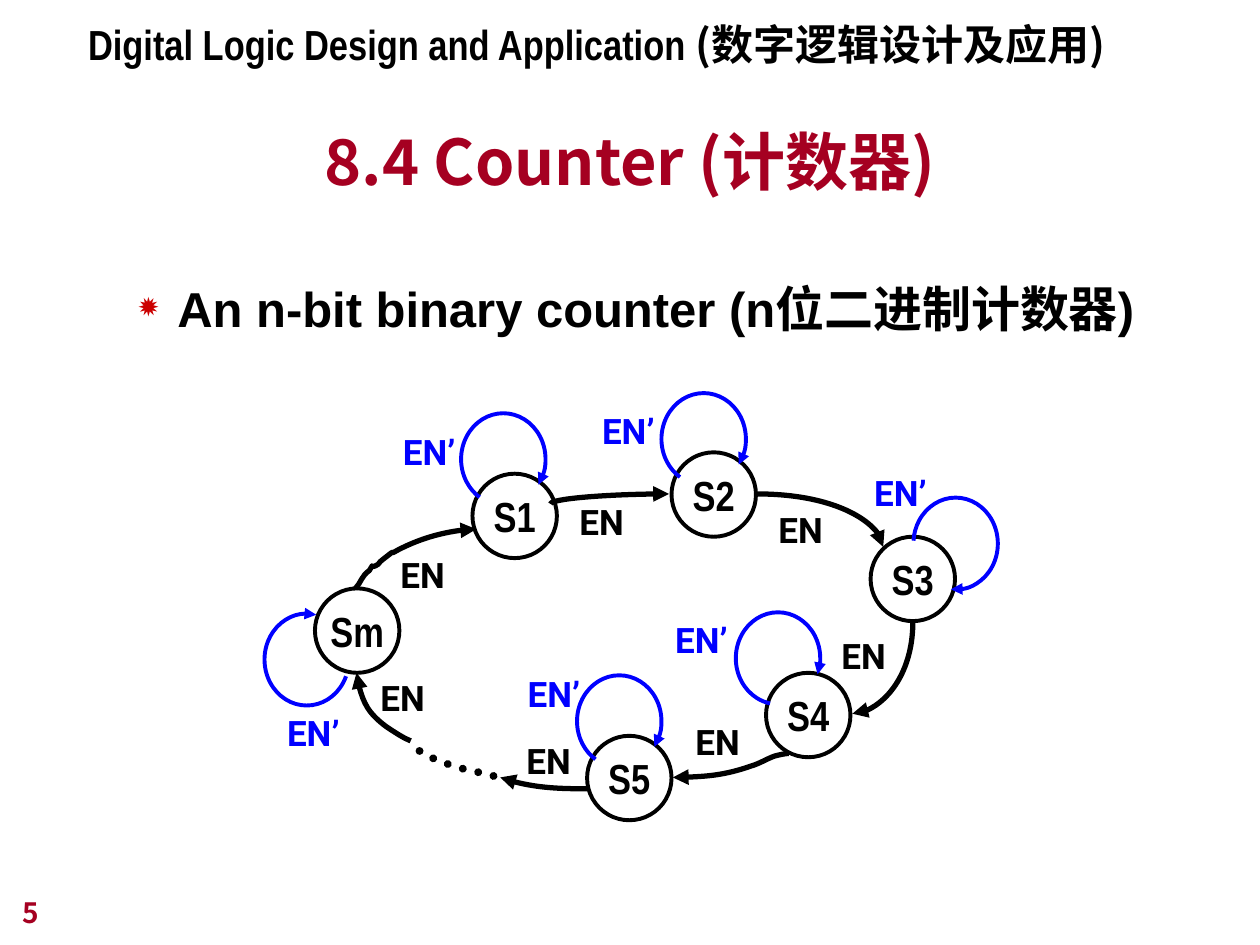
from lxml import etree
from pptx import Presentation
from pptx.dml.color import RGBColor
from pptx.enum.dml import MSO_LINE
from pptx.enum.shapes import MSO_CONNECTOR, MSO_SHAPE
from pptx.enum.text import MSO_ANCHOR, MSO_AUTO_SIZE, PP_ALIGN
from pptx.oxml.ns import qn
from pptx.util import Inches, Pt

BLACK = RGBColor(0x00, 0x00, 0x00)
BLUE = RGBColor(0x00, 0x00, 0xFF)
CRIMSON = RGBColor(0xA5, 0x00, 0x21)
CJK, NARROW, SANS, LABEL = "Noto Sans CJK JP", "Arial Narrow", "Arial", "Roboto"
LEFT, CENTER = PP_ALIGN.LEFT, PP_ALIGN.CENTER
TOP, MIDDLE, BOTTOM = MSO_ANCHOR.TOP, MSO_ANCHOR.MIDDLE, MSO_ANCHOR.BOTTOM

HEADER = [("Digital Logic Design and Application ", NARROW), ("(数字逻辑设计及应用)", CJK)]
TITLE = "8.4 Counter (计数器)"
BULLET = "An n-bit binary counter (n位二进制计数器)"
PAGE = "5"

STATE_SIZE = 0.67
STATES = [  # name, left, top
    ("S1", 3.75, 3.76), ("S2", 5.33, 3.59), ("S3", 6.91, 4.26),
    ("Sm", 2.5, 4.67), ("S5", 4.66, 5.84), ("S4", 6.08, 5.34),
]
LOOP_WIDTH, LOOP_HEIGHT = 0.67, 0.73
HOLD_LOOPS = [  # loop left, top, start and end angle, label left, top
    (3.66, 3.28, 122, 36, 3.1, 3.37),
    (5.25, 3.12, 122, 36, 4.68, 3.2),
    (5.84, 4.86, 100, 22, 5.26, 4.86),
    (4.58, 5.36, 122, 36, 4.09, 5.29),
    (2.1, 4.87, 23, 282, 2.18, 5.6),
    (7.25, 3.95, 184, 96, 6.84, 3.69),
]
COUNT_LABELS = [(3.08, 4.34), (4.5, 3.92), (6.08, 3.99), (4.08, 5.82),
                (5.42, 5.67), (6.58, 4.99), (2.92, 5.32)]
COUNT_CONNECTORS = [  # begin, end before rotation, quarter turns
    ((4.88, 4.43), (4.8, 3.49), 1),
    ((6.01, 3.92), (7.01, 4.34), 0),
    ((6.64, 5.06), (7.37, 5.54), 1),
]
# Bézier outlines: a start point, then three points for each segment
COUNT_CURVES = [
    [(3.26, 5.88), (3.21, 5.86), (3.16, 5.83), (3.07, 5.77),
     (2.92, 5.66), (2.85, 5.51), (2.83, 5.34)],
    [(4.66, 6.26), (4.44, 6.26), (4.19, 6.25), (3.97, 6.17)],
    [(2.82, 4.67), (2.87, 4.62), (2.87, 4.57), (2.93, 4.53),
     (2.99, 4.44), (2.92, 4.53), (3, 4.48),
     (3.02, 4.46), (3.02, 4.45), (3.04, 4.44),
     (3.18, 4.33), (3.07, 4.42), (3.15, 4.37),
     (3.32, 4.28), (3.59, 4.2), (3.78, 4.2)],
    [(6.26, 5.98), (6.23, 5.98), (6.19, 5.99), (6.15, 6),
     (6.09, 6.02), (6.03, 6.06), (5.96, 6.08),
     (5.76, 6.15), (5.54, 6.17), (5.34, 6.17)],
]
OMITTED_STATES = [(3.33, 5.96), (3.36, 6), (3.43, 6.02), (3.49, 6.03),
                  (3.58, 6.09), (3.68, 6.1), (3.8, 6.13),
                  (3.86, 6.14), (3.93, 6.17), (4, 6.17)]


def write(frame, runs, size, color, align=LEFT, anchor=TOP, wrap=True):
    """Fill a text frame with one bold paragraph of (text, font name) runs."""
    frame.word_wrap = wrap
    frame.vertical_anchor = anchor
    paragraph = frame.paragraphs[0]
    paragraph.alignment = align
    paragraph.font.size = Pt(size)
    paragraph.font.bold = True
    paragraph.font.color.rgb = color
    for text, font_name in runs:
        run = paragraph.add_run()
        run.text = text
        run.font.name = font_name
    return paragraph


def add_text(slide, box, *args, **options):
    frame = slide.shapes.add_textbox(*map(Inches, box)).text_frame
    return write(frame, *args, **options)


def add_label(slide, left, top, text, width, color):
    frame = slide.shapes.add_textbox(*map(Inches, (left, top, width, 0.44))).text_frame
    write(frame, [(text, LABEL)], 20, color, wrap=False)
    frame.auto_size = MSO_AUTO_SIZE.SHAPE_TO_FIT_TEXT


def style_line(shape, color, width, arrow=True):
    shape.line.color.rgb = color
    shape.line.width = Pt(width)
    if arrow:
        line = shape.line._get_or_add_ln()
        etree.SubElement(line, qn("a:tailEnd"), type="triangle")


def add_curve(slide, points):
    """Draw an open Bézier outline, three points to a segment."""
    start, *rest = [(Inches(x), Inches(y)) for x, y in points]
    builder = slide.shapes.build_freeform(*start, scale=1.0)
    builder.add_line_segments(rest, close=False)
    shape = builder.convert_to_shape()
    shape.fill.background()
    shape.shadow.inherit = False
    segments = list(shape._element.iter(qn("a:lnTo")))
    for index in range(0, len(segments), 3):
        bezier = etree.Element(qn("a:cubicBezTo"))
        segments[index].addprevious(bezier)
        for segment in segments[index:index + 3]:
            bezier.append(segment[0])
            segment.getparent().remove(segment)
    return shape


def add_count_connector(slide, begin, end, turns):
    connector = slide.shapes.add_connector(MSO_CONNECTOR.CURVE, *map(Inches, begin + end))
    properties = connector._element.spPr
    properties.find(qn("a:prstGeom")).set("prst", "curvedConnector2")
    properties.find(qn("a:xfrm")).set("rot", str(turns * 90 * 60000))
    style_line(connector, BLACK, 3)
    etree.SubElement(properties, qn("a:effectLst"))


def add_preset(slide, preset, left, top, width, height):
    shape = slide.shapes.add_shape(preset, *map(Inches, (left, top, width, height)))
    shape.fill.background()
    shape.shadow.inherit = False
    return shape


def add_bullet_line(slide):
    paragraph = add_text(slide, (0.5, 2.07, 9, 5.09), [(BULLET, SANS)], 28, BLACK)
    paragraph.line_spacing = 1.2
    properties = paragraph._p.get_or_add_pPr()
    properties.set("marL", str(Inches(0.81)))
    properties.set("indent", str(Inches(-0.31)))
    bullet_color = etree.Element(qn("a:buClr"))
    etree.SubElement(bullet_color, qn("a:srgbClr"), val="CC0000")
    bullet_parts = [bullet_color,
                    etree.Element(qn("a:buSzPct"), val="70000"),
                    etree.Element(qn("a:buChar"), char="✹")]
    for part in bullet_parts:
        properties.find(qn("a:defRPr")).addprevious(part)


def main():
    presentation = Presentation()
    presentation.slide_width, presentation.slide_height = Inches(10), Inches(7.5)
    slide = presentation.slides.add_slide(presentation.slide_layouts[6])

    add_text(slide, (0.6, 0.1, 8.41, 0.5), HEADER, 24, BLACK)
    add_text(slide, (0.75, 0.87, 8.5, 0.75), [(TITLE, CJK)], 36, CRIMSON, CENTER, BOTTOM)
    add_bullet_line(slide)
    add_text(slide, (0.08, 6.92, 2.08, 0.5), [(PAGE, CJK)], 16, CRIMSON, anchor=BOTTOM)

    for name, left, top in STATES:
        state = add_preset(slide, MSO_SHAPE.OVAL, left, top, STATE_SIZE, STATE_SIZE)
        style_line(state, BLACK, 2.25, arrow=False)
        write(state.text_frame, [(name, NARROW)], 24, BLACK, CENTER, MIDDLE, wrap=False)

    for begin, end, turns in COUNT_CONNECTORS:
        add_count_connector(slide, begin, end, turns)
    for points in COUNT_CURVES:
        style_line(add_curve(slide, points), BLACK, 3)
    dots = add_curve(slide, OMITTED_STATES)
    style_line(dots, BLACK, 4.5, arrow=False)
    dots.line.dash_style = MSO_LINE.ROUND_DOT
    dots.line._get_or_add_ln().set("cap", "rnd")
    for left, top in COUNT_LABELS:
        add_label(slide, left, top, "EN", 0.58, BLACK)

    for left, top, start, end, label_left, label_top in HOLD_LOOPS:
        loop = add_preset(slide, MSO_SHAPE.ARC, left, top, LOOP_WIDTH, LOOP_HEIGHT)
        # Arc adjustments count 100000 units, angles 60000 units to a degree
        loop.adjustments[0], loop.adjustments[1] = start * 0.6, end * 0.6
        style_line(loop, BLUE, 2.25)
        add_label(slide, label_left, label_top, "EN’", 0.64, BLUE)

    presentation.save("out.pptx")


if __name__ == "__main__":
    main()
